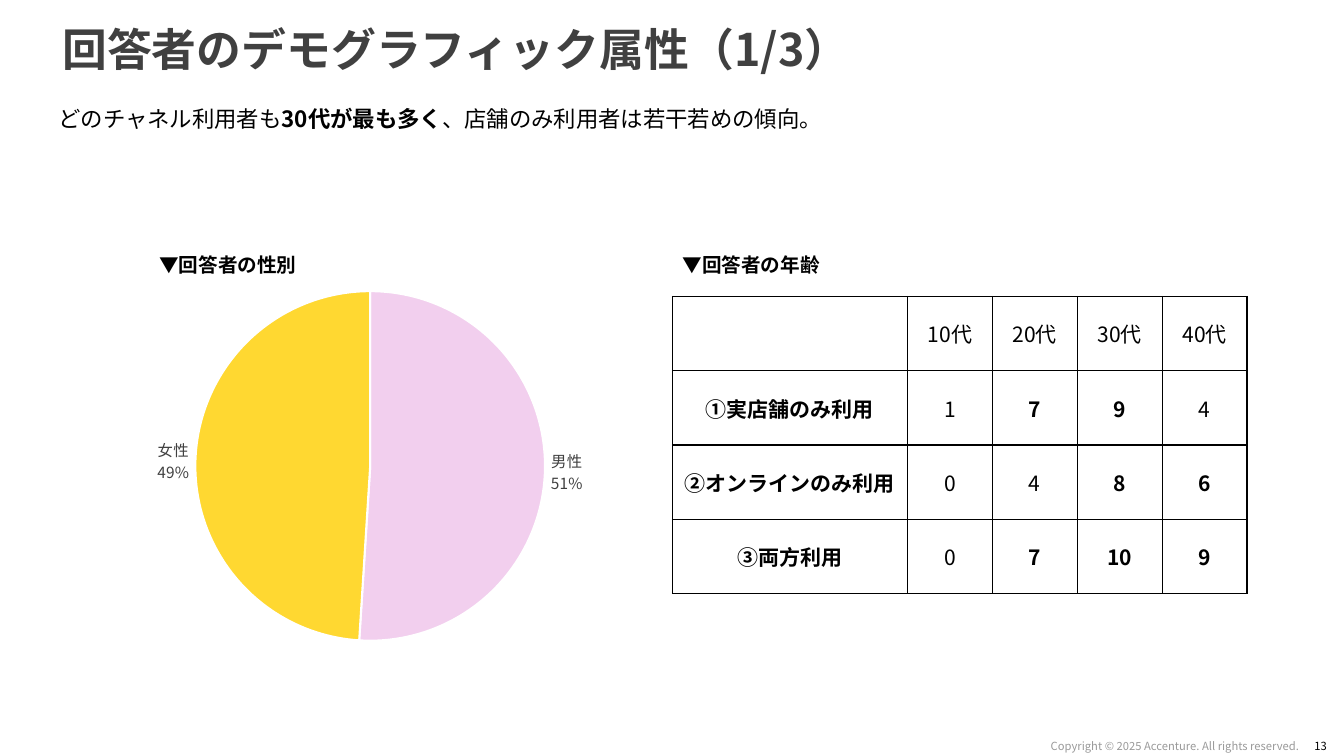
import pptx
import pptx.chart.data
import pptx.dml.color
import pptx.enum.chart
import pptx.enum.text
import pptx.oxml
import pptx.oxml.ns
import pptx.util

RGBColor = pptx.dml.color.RGBColor
Inches = pptx.util.Inches
Pt = pptx.util.Pt
ALIGN = pptx.enum.text.PP_ALIGN
ANCHOR = pptx.enum.text.MSO_ANCHOR
qn = pptx.oxml.ns.qn

BLACK = RGBColor(0x00, 0x00, 0x00)
DARK = RGBColor(0x40, 0x40, 0x40)
WHITE = RGBColor(0xFF, 0xFF, 0xFF)
PINK = RGBColor(0xF2, 0xCF, 0xEE)
YELLOW = RGBColor(0xFF, 0xD8, 0x31)
FONT = "Noto Sans CJK JP"
SLIDE_W, SLIDE_H = 13.33, 7.5
MARGIN = 0.52
TEXT_W = 12.28
TABLE_LEFT = 6.67
BORDER = (
    '<a:{side} xmlns:a="http://schemas.openxmlformats.org/drawingml/2006/main" '
    'w="12700"><a:solidFill><a:srgbClr val="000000"/></a:solidFill></a:{side}>'
)


def add_child(parent, tag, **attrs):
    el = parent.makeelement(qn(tag), attrs)
    parent.append(el)
    return el


def write(tf, runs, size, color=BLACK, align=ALIGN.LEFT, spacing=None, alpha=None):
    p = tf.paragraphs[0]
    p.alignment = align
    p.line_spacing = spacing
    for text, bold in runs:
        r = p.add_run()
        r.text = text
        r.font.size = Pt(size)
        r.font.bold = bold
        r.font.color.rgb = color
        r.font.name = FONT
        if alpha:
            clr = r.font.fill._xPr.find(qn("a:solidFill"))[0]
            add_child(clr, "a:alpha", val=str(alpha * 1000))
        add_child(r.font._element, "a:ea", typeface=FONT)


def add_text(slide, box, runs, size, insets=(0, 0, 0, 0), anchor=ANCHOR.TOP, **fmt):
    tf = slide.shapes.add_textbox(*map(Inches, box)).text_frame
    tf.word_wrap = True
    tf.vertical_anchor = anchor
    tf.margin_left, tf.margin_top, tf.margin_right, tf.margin_bottom = map(Inches, insets)
    write(tf, runs, size, **fmt)


def add_header(slide, left, top, width):
    add_text(slide, (left, top, width, 0.55), [("回答者のデモグラフィック属性（1/3）", True)], 32,
             insets=(0.1, 0.05, 0.1, 0.05), anchor=ANCHOR.MIDDLE, color=DARK, spacing=0.9)
    lead = [("どのチャネル利用者も", False), ("30代が最も多く", True),
            ("、店舗のみ利用者は若干若めの傾向。", False)]
    add_text(slide, (left, top + 0.75, width, 0.81), lead, 16,
             insets=(0.06, 0, 0, 0), spacing=1.2)


def add_caption(slide, left, top, width, text):
    add_text(slide, (left, top, width, 0.37), [(text, True)], 14,
             insets=(0.1, 0.05, 0.1, 0.05), spacing=1.3)


def add_gender_pie(slide, left, top, width, height):
    data = pptx.chart.data.CategoryChartData()
    data.categories = ["男性", "女性"]
    data.add_series("Series 1", (51, 49))
    chart = slide.shapes.add_chart(pptx.enum.chart.XL_CHART_TYPE.PIE,
                                   *map(Inches, (left, top, width, height)), data).chart
    chart.has_legend = False
    chart.has_title = False
    chart.font.size = Pt(10)
    chart.font.name = FONT
    chart.font.color.rgb = BLACK

    plot = chart.plots[0]
    plot.vary_by_categories = True
    for i, color in enumerate((PINK, YELLOW)):
        fmt = plot.series[0].points[i].format
        fmt.fill.solid()
        fmt.fill.fore_color.rgb = color
        fmt.line.color.rgb = WHITE
        fmt.line.width = Pt(1.5)

    plot.has_data_labels = True
    labels = plot.data_labels
    labels.show_category_name = True
    labels.show_percentage = True
    labels.show_value = False
    labels.position = pptx.enum.chart.XL_LABEL_POSITION.OUTSIDE_END
    labels.font.size = Pt(11)
    labels.font.name = FONT
    labels.font.color.rgb = DARK
    separator = labels._element.makeelement(qn("c:separator"), {})
    separator.text = "\n"
    labels._element.find(qn("c:showBubbleSize")).addnext(separator)

    area = chart._chartSpace.chart.plotArea
    for old in area.findall(qn("c:layout")):
        area.remove(old)
    layout = area.makeelement(qn("c:layout"), {})
    area.insert(0, layout)
    manual = add_child(layout, "c:manualLayout")
    diameter = 3.47
    w, h = diameter / width, diameter / height
    for tag, val in (("layoutTarget", "inner"), ("xMode", "edge"), ("yMode", "edge"),
                     ("x", (1 - w) / 2), ("y", (1 - h) / 2), ("w", w), ("h", h)):
        add_child(manual, f"c:{tag}", val=val if isinstance(val, str) else f"{val:.3f}")


def add_age_table(slide, left, top, width, height):
    rows = [
        ("", "10代", "20代", "30代", "40代"),
        ("①実店舗のみ利用", "1", "7", "9", "4"),
        ("②オンラインのみ利用", "0", "4", "8", "6"),
        ("③両方利用", "0", "7", "10", "9"),
    ]
    label_w = 2.33
    age_w = (width - label_w) / 4
    table = slide.shapes.add_table(4, 5, *map(Inches, (left, top, width, height))).table
    table.first_row = False
    table.horz_banding = False
    for i, col in enumerate(table.columns):
        col.width = Inches(age_w if i else label_w)
    for i, values in enumerate(rows):
        table.rows[i].height = Inches(height / 4)
        for j, text in enumerate(values):
            cell = table.cell(i, j)
            cell.fill.background()
            cell.vertical_anchor = ANCHOR.MIDDLE
            cell.margin_left = cell.margin_right = Inches(0.09)
            cell.margin_top = cell.margin_bottom = Inches(0.05)
            if text:
                bold = i > 0 and (j == 0 or int(text) > 4)
                write(cell.text_frame, [(text, bold)], 15, align=ALIGN.CENTER)
            for k, side in enumerate(("lnL", "lnR", "lnT", "lnB")):
                cell._tc.tcPr.insert(k, pptx.oxml.parse_xml(BORDER.format(side=side)))


def add_footer(slide, right, top, height):
    number_w, copyright_w = 0.27, 3.47
    left = right - number_w
    add_text(slide, (left, top, number_w, height), [("13", False)], 8,
             insets=(0.08, 0, 0, 0), align=ALIGN.RIGHT)
    add_text(slide, (left - copyright_w, top, copyright_w, height),
             [("Copyright © 2025 Accenture. All rights reserved.", False)], 8,
             align=ALIGN.RIGHT, alpha=40)


def main():
    prs = pptx.Presentation()
    prs.slide_width = Inches(SLIDE_W)
    prs.slide_height = Inches(SLIDE_H)
    slide = prs.slides.add_slide(prs.slide_layouts[6])
    add_header(slide, MARGIN, 0.24, TEXT_W)
    add_gender_pie(slide, 0.55, 2.75, 6.25, 3.75)
    add_caption(slide, 1.48, 2.39, 2.52, "▼回答者の性別")
    add_caption(slide, TABLE_LEFT, 2.39, 4.86, "▼回答者の年齢")
    add_age_table(slide, TABLE_LEFT, 2.94, 5.7, 2.95)
    add_footer(slide, 13.16, 7.33, 0.14)
    prs.save("out.pptx")


if __name__ == "__main__":
    main()
